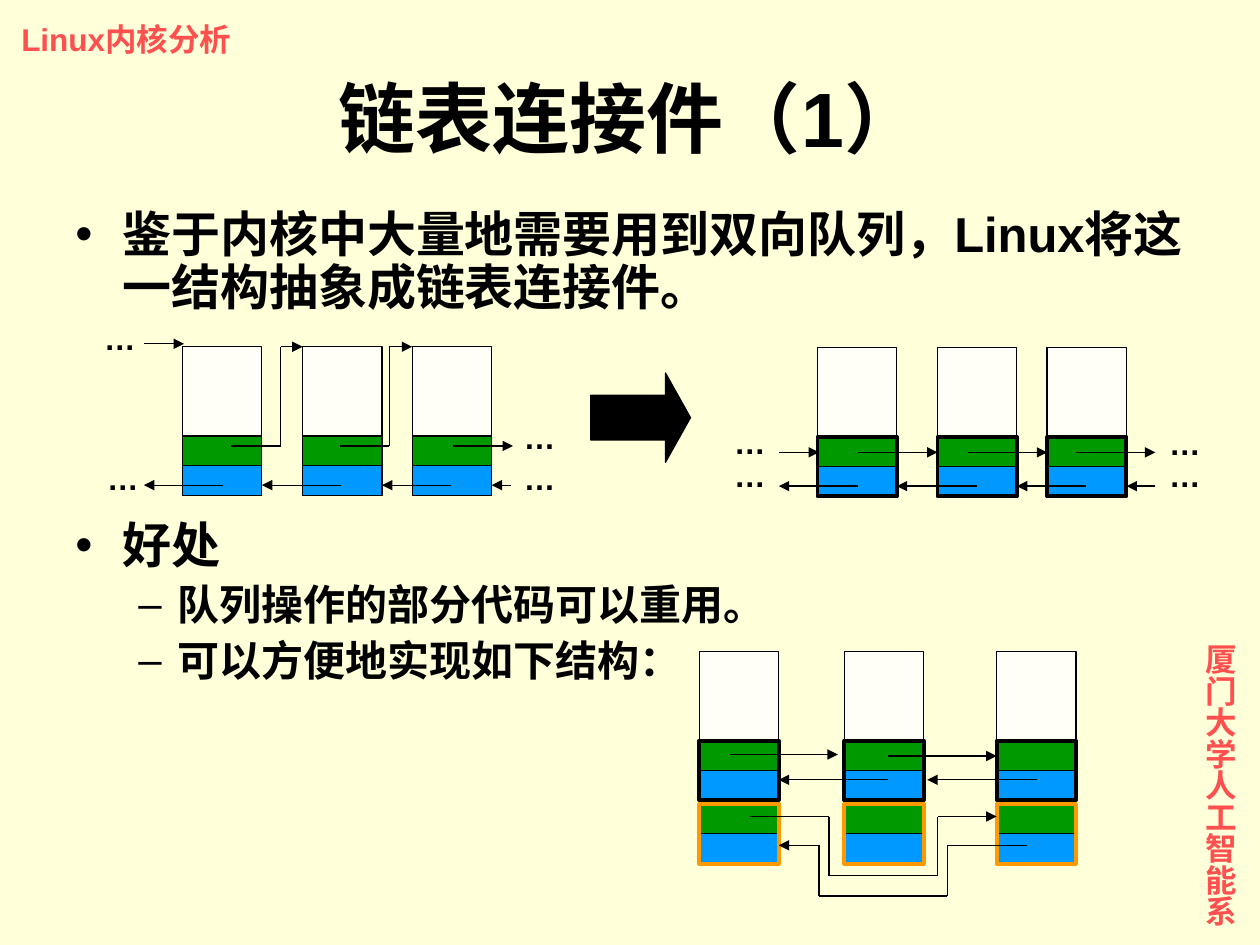
from dataclasses import dataclass

from lxml.etree import SubElement as Sub
from pptx import Presentation
from pptx.dml.color import RGBColor as Rgb
from pptx.enum.shapes import MSO_CONNECTOR as Link, MSO_SHAPE as Kind
from pptx.enum.text import MSO_ANCHOR as Anchor, PP_ALIGN as Align
from pptx.oxml.ns import qn
from pptx.util import Cm, Pt


@dataclass(frozen=True)
class Theme:
    font: str = "Arial"
    back: str = "FFFFD9"
    ink: str = "000000"
    brand: str = "FF5050"
    data: str = "FFFFF7"
    next: str = "009900"
    prev: str = "0099FF"
    extra: str = "FF9900"
    head: int = 44
    main: int = 28
    sub: int = 24
    small: int = 18
    thin: float = 0.75
    thick: float = 2.25


T = Theme()
TITLE = "链表连接件（1）"
MARKS = [
    ("Linux内核分析", (0.18, 0.28, 4.88, 1.02), "horz"),
    ("厦门大学人工智能系", (23.83, 12.73, 1.27, 5.97), "eaVert"),
]
BODY = [
    ("鉴于内核中大量地需要用到双向队列，Linux将这一结构抽象成链表连接件。", 0, 0),
    ("好处", 0, 117),
    ("队列操作的部分代码可以重用。", 1, 6),
    ("可以方便地实现如下结构：", 1, 6),
]
LEVELS = [("•", T.main, 0.95, 0.95), ("–", T.sub, 2.06, 0.79)]

WIDE, TALL, ROW = 1.6, 1.8, 0.6
LISTS = [
    ((14.1, 17.02, 20.09), 13.13, [(TALL, T.ink), (3.08, T.extra)]),
    ((16.48, 18.9, 21.11), 7.01, [(TALL, T.ink)]),
    ((3.68, 6.1, 8.31), 6.99, [(TALL, None)]),
]
FLAT = [
    (15.24, [(17.91, 20.09)]),
    (15.21, [(14.71, 16.89)]),
    (15.72, [(20.9, 18.69), (17.91, 15.7)]),
    (9.12, [(15.7, 16.51), (17.3, 18.9), (19.51, 21.11), (21.69, 23.29)]),
    (9.8, [(23.29, 22.71), (21.89, 20.5), (19.69, 18.08), (17.3, 15.7)]),
    (9.78, [(10.31, 9.91), (9.09, 7.7), (6.88, 5.28), (4.5, 2.9)]),
    (8.99, [(9.14, 10.34)]),
    (6.93, [(2.9, 3.71)]),
]
BENT = [
    [(15.11, 16.46), (16.71, 16.46), (16.71, 17.65),
     (18.9, 17.65), (18.9, 16.46), (20.09, 16.46)],
    [(20.7, 17.04), (19.1, 17.04), (19.1, 18.06),
     (16.51, 18.06), (16.51, 17.04), (15.7, 17.04)],
    [(4.65, 8.99), (5.66, 8.99), (5.66, 6.99), (6.1, 6.99)],
    [(6.86, 8.99), (7.85, 8.99), (7.85, 6.99), (8.31, 6.99)],
]
DOTS = [
    (14.55, 8.41), (14.55, 9.07), (23.32, 8.43), (23.32, 9.07),
    (1.85, 6.3), (1.91, 9.12), (10.31, 8.31), (10.31, 9.12),
]


def style(para, size, color=T.ink):
    font = para.font
    font.name, font.size, font.bold = T.font, Pt(size), True
    font.color.rgb = Rgb.from_string(color)


def label(slide, text, box, color=T.ink, flow="horz"):
    shape = slide.shapes.add_textbox(*map(Cm, box))
    frame = shape.text_frame
    frame.word_wrap = False
    if flow != "horz":
        shape.element.txBody.bodyPr.set("vert", flow)
        frame.margin_left = frame.margin_right = Cm(0.13)
        frame.margin_top = frame.margin_bottom = Cm(0.25)
    frame.text = text
    style(frame.paragraphs[0], T.small, color)


def block(slide, box, fill, line=T.ink, width=T.thin, kind=Kind.RECTANGLE):
    shape = slide.shapes.add_shape(kind, *map(Cm, box))
    shape.shadow.inherit = False
    if fill:
        shape.fill.solid()
        shape.fill.fore_color.rgb = Rgb.from_string(fill)
    else:
        shape.fill.background()
    shape.line.color.rgb = Rgb.from_string(line)
    shape.line.width = Pt(width)
    return shape


def node(slide, x, y, pairs):
    block(slide, (x, y, WIDE, TALL), T.data)
    for drop, edge in pairs:
        top = y + drop
        block(slide, (x, top, WIDE, ROW), T.next)
        block(slide, (x, top + ROW, WIDE, ROW), T.prev)
        if edge:
            block(slide, (x, top, WIDE, 2 * ROW), None, edge, T.thick)


def route(slide, stops):
    for start, end in zip(stops, stops[1:]):
        line = slide.shapes.add_connector(Link.STRAIGHT, *map(Cm, start + end))
        line.line.color.rgb = Rgb.from_string(T.ink)
        line.line.width = Pt(T.thin)
        props = line.element.spPr
        if end == stops[-1]:
            Sub(props.find(qn("a:ln")), qn("a:tailEnd"), type="triangle")
        Sub(props, qn("a:effectLst"))


def body(slide):
    frame = slide.shapes.add_textbox(*map(Cm, (1.27, 4.11, 22.86, 14.07))).text_frame
    frame.word_wrap = True
    for i, (text, level, gap) in enumerate(BODY):
        para = frame.paragraphs[0] if i == 0 else frame.add_paragraph()
        para.text, para.level = text, level
        mark, size, left, hang = LEVELS[level]
        props = para._p.get_or_add_pPr()
        props.set("marL", str(Cm(left)))
        props.set("indent", str(-Cm(hang)))
        Sub(props, qn("a:buFont"), typeface=T.font)
        Sub(props, qn("a:buChar"), char=mark)
        para.line_spacing, para.space_before = 0.9, Pt(gap)
        style(para, size)


def main():
    deck = Presentation()
    deck.slide_width, deck.slide_height = Cm(25.4), Cm(19.05)
    slide = deck.slides.add_slide(deck.slide_layouts[5])
    slide.background.fill.solid()
    slide.background.fill.fore_color.rgb = Rgb.from_string(T.back)

    title = slide.shapes.title
    title.left, title.top, title.width, title.height = map(Cm, (1.27, 0.76, 22.86, 3.18))
    title.text_frame.text = TITLE
    title.text_frame.vertical_anchor = Anchor.MIDDLE
    para = title.text_frame.paragraphs[0]
    para.alignment = Align.CENTER
    style(para, T.head)

    for text, box, flow in MARKS:
        label(slide, text, box, T.brand, flow)
    body(slide)
    for cols, y, pairs in LISTS:
        for x in cols:
            node(slide, x, y, pairs)
    arrow = block(slide, (11.91, 7.52, 2.01, 1.8), T.ink, kind=Kind.RIGHT_ARROW)
    arrow.adjustments[0], arrow.adjustments[1] = 0.5, 0.28
    for y, spans in FLAT:
        for start, end in spans:
            route(slide, [(start, y), (end, y)])
    for stops in BENT:
        route(slide, stops)
    for x, y in DOTS:
        label(slide, "…", (x, y, 1.14, 1.02))
    deck.save("out.pptx")


if __name__ == "__main__":
    main()
